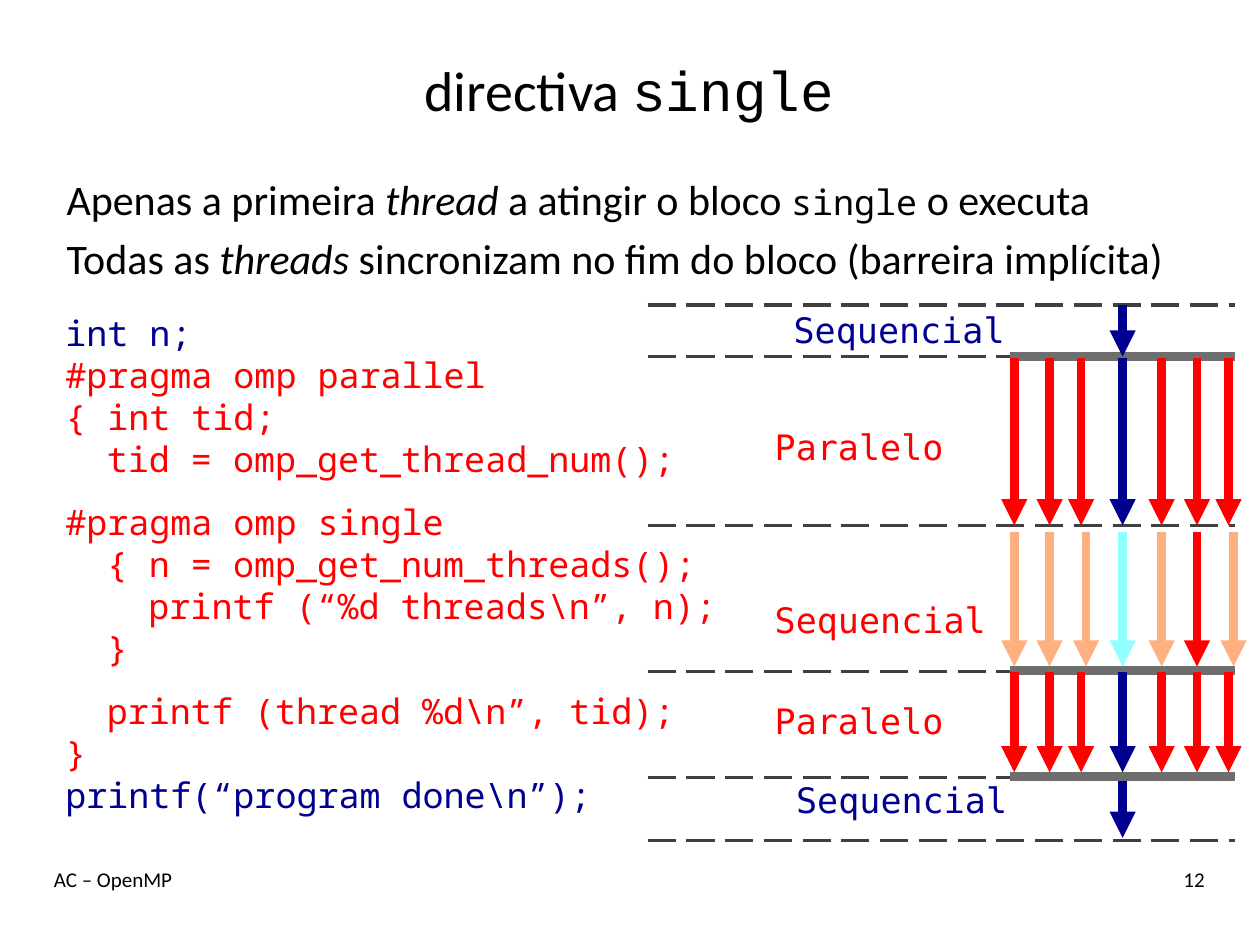
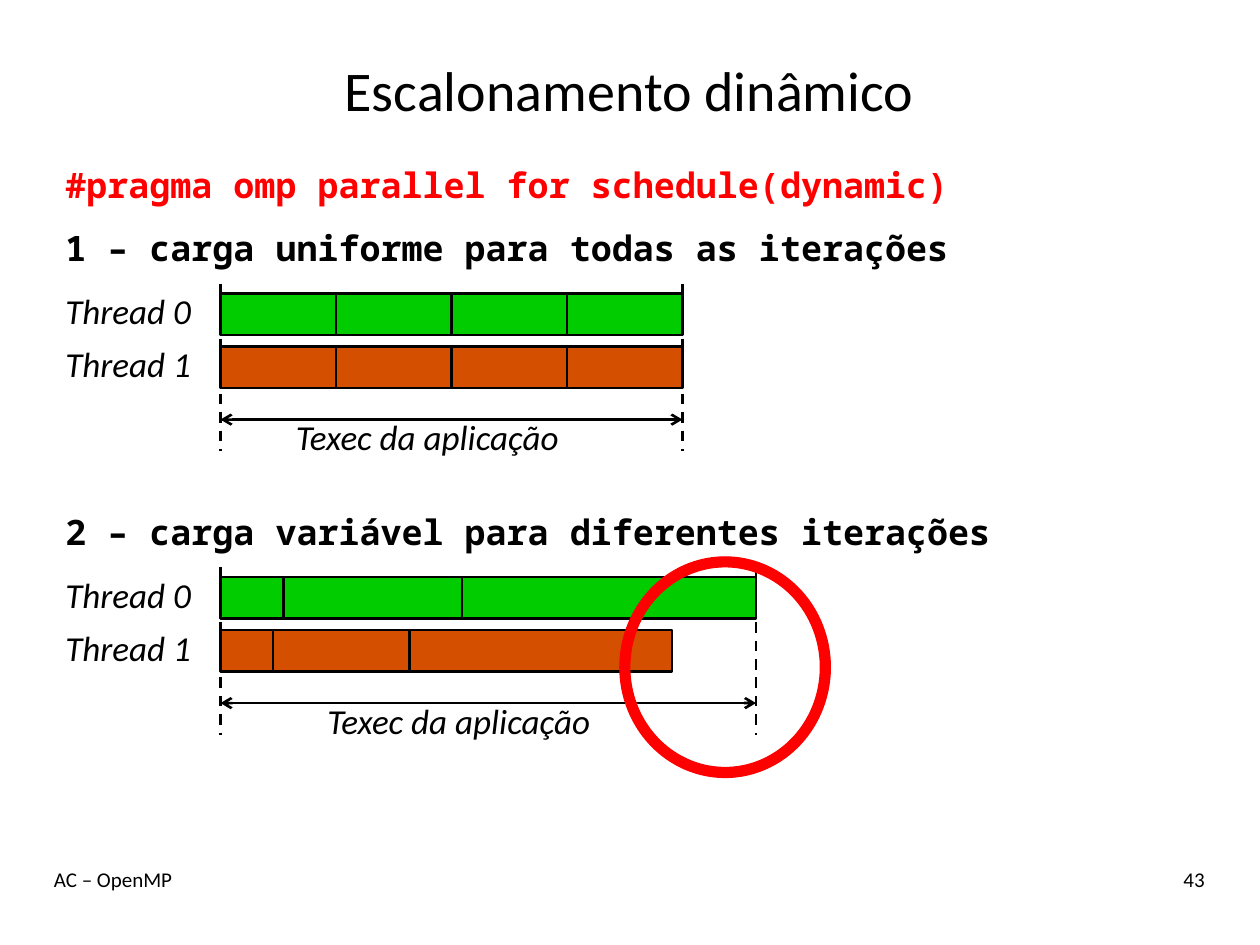
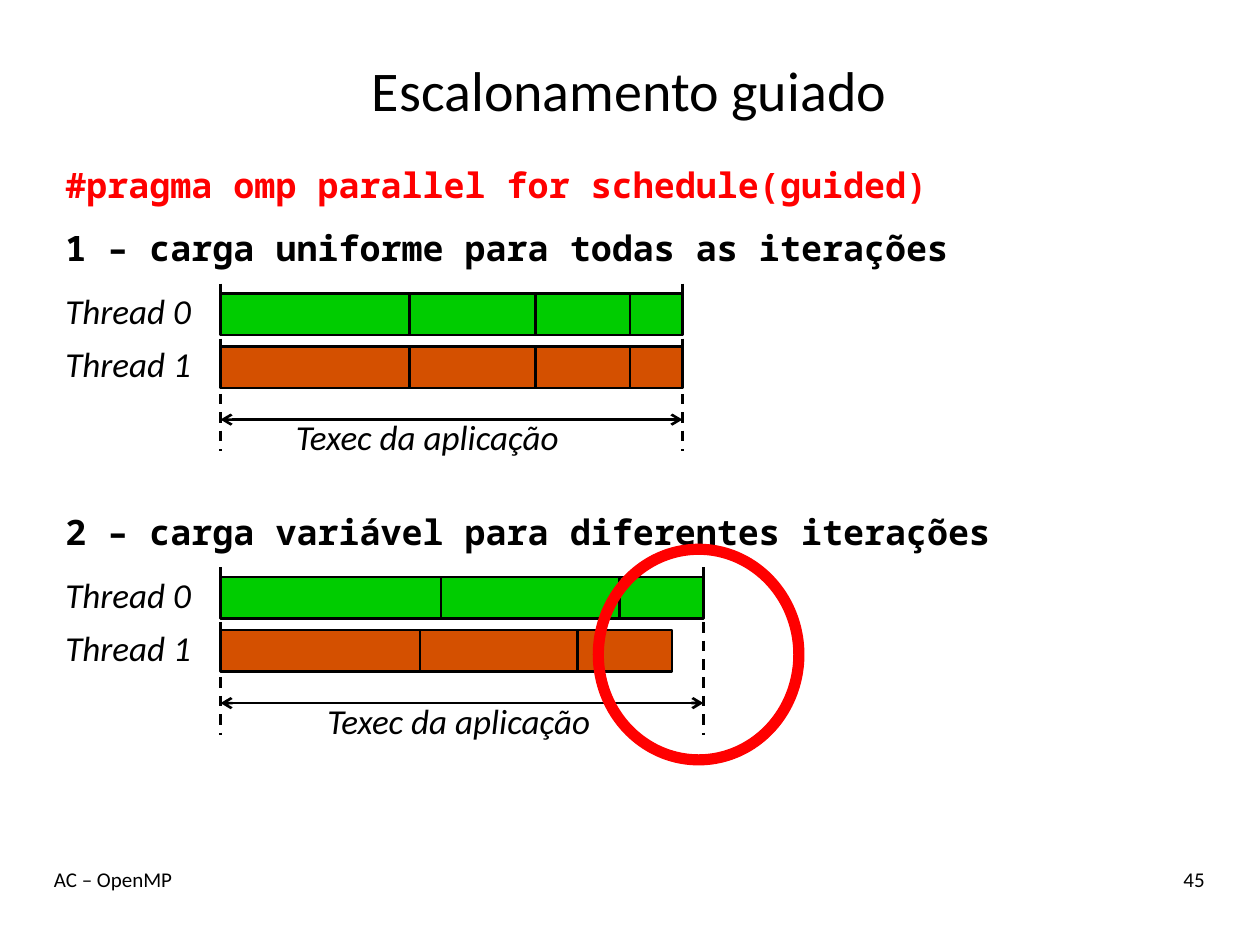
from itertools import accumulate

from lxml.etree import SubElement
from pptx import Presentation
from pptx.dml.color import RGBColor
from pptx.enum.dml import MSO_LINE
from pptx.enum.shapes import MSO_CONNECTOR, MSO_SHAPE
from pptx.enum.text import MSO_ANCHOR, PP_ALIGN
from pptx.oxml.ns import qn
from pptx.util import Inches, Pt

BLACK = RGBColor(0x00, 0x00, 0x00)
NAVY = RGBColor(0x00, 0x00, 0x90)
RED = RGBColor(0xFF, 0x00, 0x00)
PEACH = RGBColor(0xFF, 0xB0, 0x80)
CYAN = RGBColor(0x8F, 0xFF, 0xFF)
DARK_GREY = RGBColor(0x40, 0x40, 0x40)
GREY = RGBColor(0x6E, 0x6E, 0x6E)
GREEN = RGBColor(0x00, 0xCC, 0x00)
ORANGE = RGBColor(0xD4, 0x50, 0x00)

TITLE = {"name": "Calibri", "size": Pt(32)}
TITLE_CODE = {**TITLE, "name": "Courier New"}
FOOTER = {"name": "Calibri", "size": Pt(12)}
BODY = {"name": "Calibri", "size": Pt(24)}
BODY_ITALIC = {**BODY, "italic": True}
CODE = {"name": "Noto Sans Mono", "size": Pt(20)}
HEADING = {**CODE, "bold": True}
PHASE = {"name": "DejaVu Sans Mono", "size": Pt(20)}
CAPTION = {"name": "Calibri", "size": Pt(20), "italic": True}

FOOTER_TEXT = "AC – OpenMP"
CODE_INDENT = 0.33  # two characters of code

# Code lines: text, colour, indent level, space before in points
CODE_LINES = [
    ("int n;", NAVY, 0, 0),
    ("#pragma omp parallel", RED, 0, 0),
    ("{ int tid;", RED, 0, 0),
    ("tid = omp_get_thread_num();", RED, 1, 0),
    ("#pragma omp single", RED, 0, 12),
    ("{ n = omp_get_num_threads();", RED, 1, 0),
    ("printf (“%d threads\\n”, n);", RED, 2, 0),
    ("}", RED, 1, 0),
    ("printf (thread %d\\n”, tid);", RED, 1, 12),
    ("}", RED, 0, 0),
    ("printf(“program done\\n”);", NAVY, 0, 0),
]

# Thread positions from the left of the diagram, the master in the middle
MASTER = 3
THREADS = [2.91, 3.19, 3.44, 3.77, 4.08, 4.36, 4.61]
WAITING_THREADS = [2.91, 3.19, 3.48, 3.77, 4.08, 4.36, 4.65]
TEAM = [RED] * MASTER + [NAVY] + [RED] * MASTER
WAITING_TEAM = [PEACH] * MASTER + [CYAN, PEACH, RED, PEACH]

# Phases: label, colour, label left and top, arrow start and end, threads
ONLY_MASTER = [(THREADS[MASTER], NAVY)]
WHOLE_TEAM = list(zip(THREADS, TEAM))
PHASES = [
    ("Sequencial", NAVY, 1.06, -0.02, 0, 0.41, ONLY_MASTER),
    ("Paralelo", RED, 0.91, 0.91, 0.42, 1.75, WHOLE_TEAM),
    ("Sequencial", RED, 0.91, 2.28, 1.8, 2.87, list(zip(WAITING_THREADS, WAITING_TEAM))),
    ("Paralelo", RED, 0.91, 3.08, 2.91, 3.71, WHOLE_TEAM),
    ("Sequencial", NAVY, 1.08, 3.71, 3.78, 4.23, ONLY_MASTER),
]
BOUNDARIES = [0, 0.41, 1.75, 2.91, 3.75, 4.25]
BARRIERS = [0.41, 2.9, 3.74]

# Chunk widths of both threads, in twelfths of an inch
DYNAMIC = {
    "uniform": ([11] * 4, [11] * 4),
    "variable": ([6, 17, 28], [5, 13, 25]),
}
GUIDED = {
    "uniform": ([18, 12, 9, 5], [18, 12, 9, 5]),
    "variable": ([21, 17, 8], [19, 15, 9]),
}


def add_spans(para, *spans):
    """Each span is text, format values and an optional colour."""
    for text, values, *colour in spans:
        span = para.add_run()
        span.text = text
        for name, value in values.items():
            setattr(span.font, name, value)
        span.font.color.rgb = colour[0] if colour else BLACK


def add_text(page, box, *spans, align=PP_ALIGN.LEFT, anchor=MSO_ANCHOR.TOP, wrap=True):
    frame = page.shapes.add_textbox(*map(Inches, box)).text_frame
    frame.word_wrap = wrap
    frame.vertical_anchor = anchor
    frame.paragraphs[0].alignment = align
    add_spans(frame.paragraphs[0], *spans)
    return frame


def add_line(page, start, end, colour, width, dash=None, head=None, tail=None):
    line = page.shapes.add_connector(MSO_CONNECTOR.STRAIGHT, *map(Inches, (*start, *end)))
    line.line.color.rgb = colour
    line.line.width = Pt(width)
    if dash:
        line.line.dash_style = dash
    for tag, kind in (("a:headEnd", head), ("a:tailEnd", tail)):
        if kind:
            SubElement(line.line._get_or_add_ln(), qn(tag), type=kind)
    SubElement(line._element.spPr, qn("a:effectLst"))


def add_filled(page, kind, box, fill, outline, width):
    shape = page.shapes.add_shape(kind, *map(Inches, box))
    shape.shadow.inherit = False
    shape.fill.solid()
    shape.fill.fore_color.rgb = fill
    shape.line.color.rgb = outline
    shape.line.width = Pt(width)
    return shape


def add_page(deck, number, *title):
    """Page with the shared title and footer."""
    page = deck.slides.add_slide(deck.slide_layouts[6])
    add_text(page, (0.33, 0.25, 9.33, 0.92), *title,
             align=PP_ALIGN.CENTER, anchor=MSO_ANCHOR.MIDDLE)
    add_text(page, (0.33, 6.83, 7, 0.5), (FOOTER_TEXT, FOOTER))
    add_text(page, (8.33, 6.83, 1.33, 0.5), (str(number), FOOTER), align=PP_ALIGN.RIGHT)
    return page


def add_code(page, box):
    frame = add_text(page, box)
    for index, (text, colour, level, space) in enumerate(CODE_LINES):
        para = frame.add_paragraph() if index else frame.paragraphs[0]
        para.space_before = Pt(space)
        para._p.get_or_add_pPr().set("marL", str(Inches(CODE_INDENT * level)))
        add_spans(para, (text, CODE, colour))


def add_thread_diagram(page, box):
    left, top, width, _ = box
    right = left + width
    # Phase boundaries and barriers
    for offset in BOUNDARIES:
        add_line(page, (left, top + offset), (right, top + offset),
                 DARK_GREY, 2, dash=MSO_LINE.LONG_DASH)
    for offset in BARRIERS:
        add_line(page, (left + 2.88, top + offset), (right, top + offset), GREY, 5)
    # Phase labels and thread arrows
    for label, colour, label_left, label_top, start, end, threads in PHASES:
        add_text(page, (left + label_left, top + label_top, 1.89, 0.44),
                 (label, PHASE, colour), wrap=False)
        for offset, thread_colour in threads:
            x = left + offset
            add_line(page, (x, top + start), (x, top + end), thread_colour, 5, tail="triangle")


def add_timeline(page, box, heading, chunks, caption_left):
    left, top, width, _ = box
    start = left + 1.33
    end = start + max(map(sum, chunks)) / 12
    add_text(page, (left, top, width, 0.58), (heading, HEADING))
    # Limits and length of the run
    for x in (start, end):
        add_line(page, (x, top + 0.5), (x, top + 1.83), BLACK, 1.5, dash=MSO_LINE.DASH)
    add_line(page, (start, top + 1.58), (end, top + 1.58), BLACK, 1.5,
             head="arrow", tail="arrow")
    add_text(page, (left + caption_left, top + 1.5, 2.67, 0.5), ("Texec da aplicação", CAPTION))
    # One row of chunks for each thread
    for row, (widths, colour) in enumerate(zip(chunks, (GREEN, ORANGE))):
        row_top = top + 0.5 + 0.42 * row
        add_text(page, (left, row_top, 1.33, 0.5), (f"Thread {row}", CAPTION))
        for chunk, chunk_end in zip(widths, accumulate(widths)):
            chunk_box = (start + (chunk_end - chunk) / 12, row_top + 0.08, chunk / 12, 0.33)
            add_filled(page, MSO_SHAPE.RECTANGLE, chunk_box, colour, BLACK, 1.5)


def build_single_page(deck):
    page = add_page(deck, 12, ("directiva ", TITLE), ("single", TITLE_CODE))
    add_code(page, (0.42, 2.42, 5.42, 4.14))
    add_thread_diagram(page, (5.14, 2.42, 4.66, 4.25))
    body = add_text(page, (0.43, 1.33, 9.23, 1.08),
                    ("Apenas a primeira ", BODY), ("thread", BODY_ITALIC),
                    (" a atingir o bloco ", BODY), ("single", CODE), (" o executa", BODY))
    para = body.add_paragraph()
    para.space_before = Pt(4.8)
    add_spans(para, ("Todas as ", BODY), ("threads ", BODY_ITALIC),
              ("sincronizam no fim do bloco (barreira implícita)", BODY))


def build_schedule_page(deck, number, title, schedule, chunks, ring_at):
    page = add_page(deck, number, (title, TITLE))
    add_text(page, (0.42, 1.25, 9.25, 0.58),
             (f"#pragma omp parallel for schedule({schedule})", HEADING, RED))
    add_timeline(page, (0.42, 1.75, 9.25, 2),
                 "1 – carga uniforme para todas as iterações", chunks["uniform"], 1.83)
    add_timeline(page, (0.42, 4, 9.25, 2),
                 "2 – carga variável para diferentes iterações", chunks["variable"], 2.08)
    # Ring around the uneven end of the threads
    ring = add_filled(page, MSO_SHAPE.DONUT, (*ring_at, 1.67, 1.75), RED, RED, 0.75)
    ring.adjustments[0] = 0.047


def main():
    deck = Presentation()
    deck.slide_width, deck.slide_height = Inches(10), Inches(7.5)
    build_single_page(deck)
    build_schedule_page(deck, 43, "Escalonamento dinâmico", "dynamic", DYNAMIC, (4.92, 4.42))
    build_schedule_page(deck, 45, "Escalonamento guiado", "guided", GUIDED, (4.71, 4.32))
    deck.save("out.pptx")


if __name__ == "__main__":
    main()
